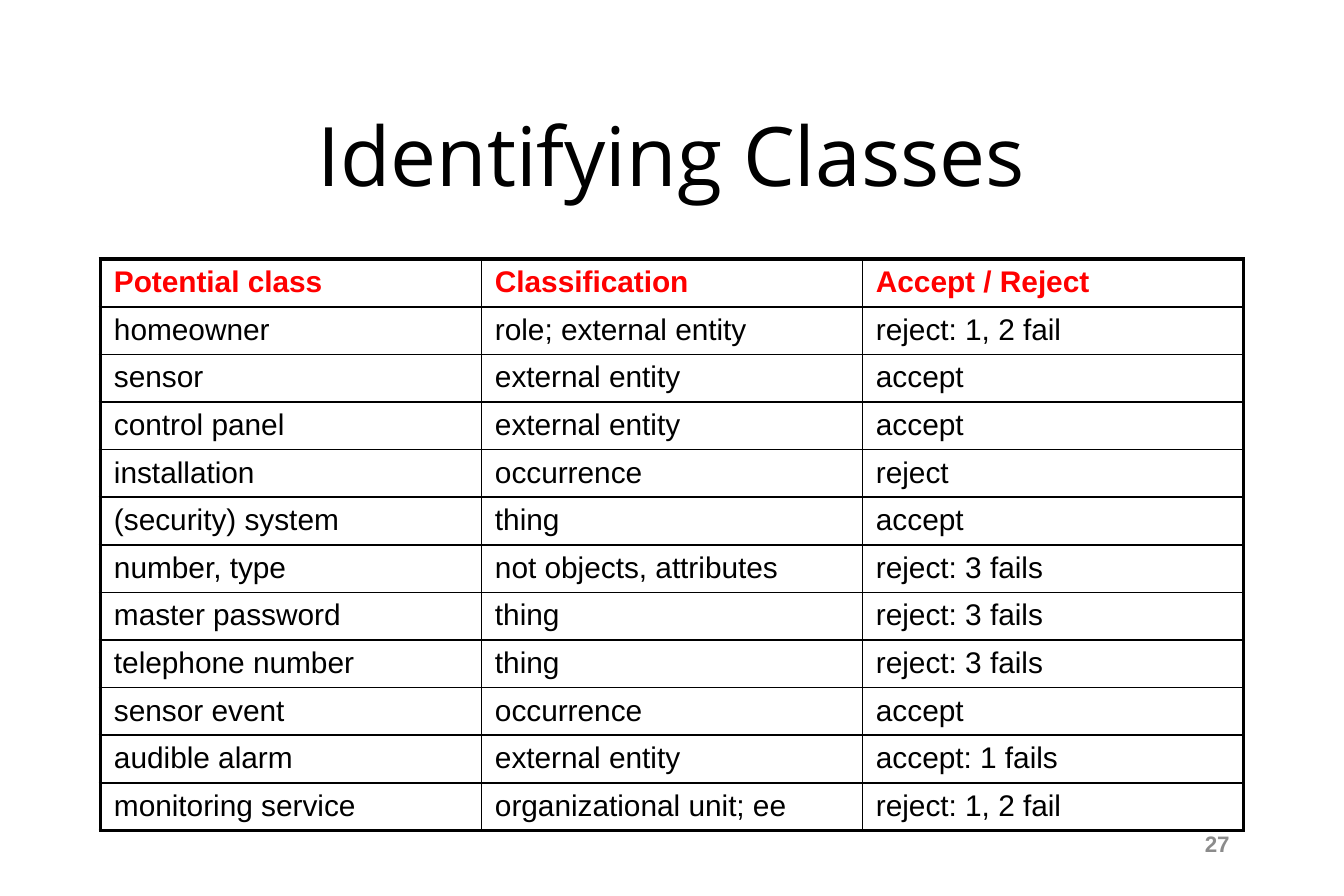
"""Build the "Identifying Classes" slide with its table of candidate classes."""
from dataclasses import dataclass

from lxml import etree
from pptx import Presentation
from pptx.dml.color import RGBColor
from pptx.enum.text import MSO_ANCHOR, PP_ALIGN
from pptx.oxml.ns import qn
from pptx.util import Cm, Pt

BLACK = RGBColor(0x00, 0x00, 0x00)
RED = RGBColor(0xFF, 0x00, 0x00)
GRAY = RGBColor(0x8B, 0x8B, 0x8B)
MIDDLE = MSO_ANCHOR.MIDDLE
CENTER = PP_ALIGN.CENTER
RIGHT = PP_ALIGN.RIGHT

TITLE_FONT = {"name": "Open Sans", "size": Pt(44), "bold": False}
HEADER_FONT = {"name": "Arial", "size": Pt(16), "bold": True}
BODY_FONT = {"name": "Arial", "size": Pt(16), "bold": False}
NUMBER_FONT = {"name": "Arial", "size": Pt(12), "bold": True}

INNER_LINE = Pt(0.96)
OUTER_LINE = Pt(2.21)
LEFT_EDGE = Cm(1.9)
COLUMN_WIDTH = Cm(7.2)
ROW_HEIGHT = Cm(0.9)


@dataclass(frozen=True)
class Candidate:
    name: str
    classification: str
    decision: str

    def texts(self) -> tuple:
        return self.name, self.classification, self.decision


HEADER = Candidate("Potential class", "Classification", "Accept / Reject")
CANDIDATES = [
    Candidate("homeowner", "role; external entity", "reject: 1, 2 fail"),
    Candidate("sensor", "external entity", "accept"),
    Candidate("control panel", "external entity", "accept"),
    Candidate("installation", "occurrence", "reject"),
    Candidate("(security) system", "thing", "accept"),
    Candidate("number, type", "not objects, attributes", "reject: 3 fails"),
    Candidate("master password", "thing", "reject: 3 fails"),
    Candidate("telephone number", "thing", "reject: 3 fails"),
    Candidate("sensor event", "occurrence", "accept"),
    Candidate("audible alarm", "external entity", "accept: 1 fails"),
    Candidate("monitoring service", "organizational unit; ee", "reject: 1, 2 fail"),
]


def write_text(text_frame, text: str, font: dict, color: RGBColor, alignment=None) -> None:
    paragraph = text_frame.paragraphs[0]
    paragraph.alignment = alignment
    run = paragraph.add_run()
    run.text = text
    for attribute, value in font.items():
        setattr(run.font, attribute, value)
    run.font.color.rgb = color


def place(shape, left: Cm, top: Cm, width: Cm, height: Cm) -> None:
    for attribute, value in {"left": left, "top": top, "width": width, "height": height}.items():
        setattr(shape, attribute, value)


def add_borders(cell, outer_edges: dict) -> None:
    properties = cell._tc.get_or_add_tcPr()
    for edge, is_outer in outer_edges.items():
        width = OUTER_LINE if is_outer else INNER_LINE
        line = etree.SubElement(properties, qn(f"a:ln{edge}"), w=str(int(width)))
        fill = etree.SubElement(line, qn("a:solidFill"))
        etree.SubElement(fill, qn("a:srgbClr"), val=str(BLACK))


def add_class_table(slide, candidates: list[Candidate]) -> None:
    row_count, column_count = len(candidates), len(HEADER.texts())
    table = slide.shapes.add_table(
        row_count, column_count, LEFT_EDGE, Cm(4.9),
        COLUMN_WIDTH * column_count, ROW_HEIGHT * row_count,
    ).table
    table.first_row = False
    table.horz_banding = False
    for row_index, candidate in enumerate(candidates):
        is_header = row_index == 0
        font, color = (HEADER_FONT, RED) if is_header else (BODY_FONT, BLACK)
        for column_index, text in enumerate(candidate.texts()):
            cell = table.cell(row_index, column_index)
            write_text(cell.text_frame, text, font, color)
            add_borders(cell, {
                "L": column_index == 0,
                "R": column_index == column_count - 1,
                "T": is_header,
                "B": row_index == row_count - 1,
            })
            cell.fill.background()


def add_slide_number(slide, number: str) -> None:
    shape = slide.shapes.add_textbox(Cm(18.21), Cm(15.42), Cm(5.28), Cm(1.12))
    text_frame = shape.text_frame
    text_frame.word_wrap = True
    text_frame.vertical_anchor = MIDDLE
    write_text(text_frame, number, NUMBER_FONT, GRAY, RIGHT)
    text_frame.paragraphs[0].line_spacing = 0.9


def main() -> None:
    presentation = Presentation()
    presentation.slide_width = Cm(25.4)
    presentation.slide_height = Cm(16.94)
    slide = presentation.slides.add_slide(presentation.slide_layouts[5])
    title = slide.shapes.title
    place(title, LEFT_EDGE, Cm(1.5), Cm(21.6), Cm(2.82))
    title.text_frame.vertical_anchor = MIDDLE
    write_text(title.text_frame, "Identifying Classes", TITLE_FONT, BLACK, CENTER)
    add_class_table(slide, [HEADER, *CANDIDATES])
    add_slide_number(slide, "27")
    presentation.save("out.pptx")


if __name__ == "__main__":
    main()
